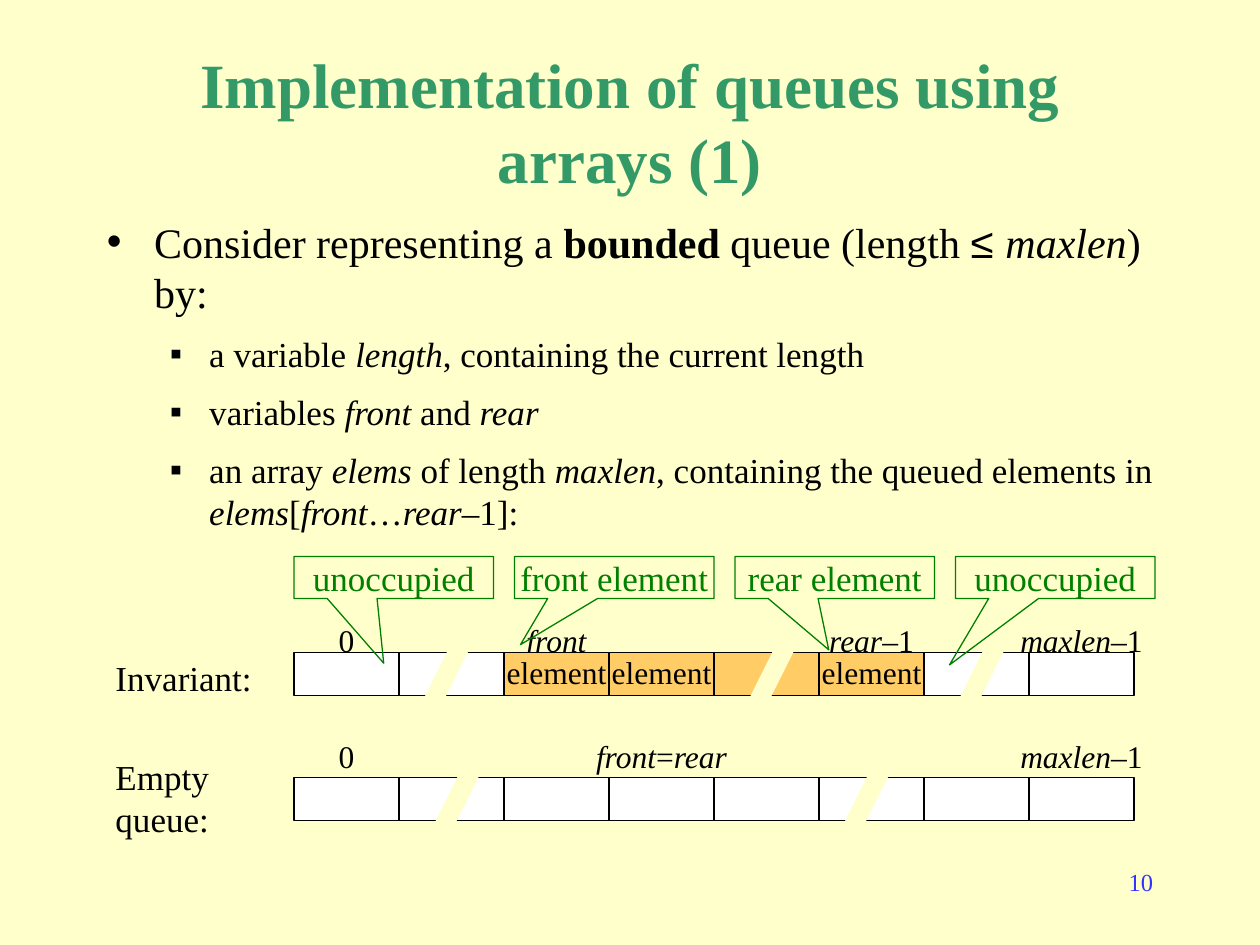
from pptx import Presentation
from pptx.dml.color import RGBColor
from pptx.enum.shapes import MSO_SHAPE
from pptx.enum.text import MSO_ANCHOR, PP_ALIGN
from pptx.oxml.ns import qn
from pptx.util import Pt
from lxml.etree import SubElement

CREAM = RGBColor(0xFF, 0xFF, 0xCC)
JADE = RGBColor(0x33, 0x99, 0x66)
GREEN = RGBColor(0x00, 0x80, 0x00)
BLUE = RGBColor(0x33, 0x33, 0xFF)
AMBER = RGBColor(0xFF, 0xCC, 0x66)
WHITE = RGBColor(0xFF, 0xFF, 0xFF)
BLACK = RGBColor(0x00, 0x00, 0x00)

LEFT, CELL_W, CELL_H, CELLS = 168, 60, 24.5, 8
CENTER = PP_ALIGN.CENTER


def write(para, text, size=18, color=BLACK, bold=False, font="Times New Roman"):
    """Add text to a paragraph; parts between slashes are italic."""
    for i, part in enumerate(text.split("/")):
        if part:
            run = para.add_run()
            run.text = part
            run.font.size = Pt(size)
            run.font.name = font
            run.font.bold = bold
            run.font.italic = i % 2 == 1
            run.font.color.rgb = color


class Deck:
    def __init__(self):
        self.prs = Presentation()
        self.prs.slide_width, self.prs.slide_height = Pt(720), Pt(540)
        self.slide = self.prs.slides.add_slide(self.prs.slide_layouts[6])
        self.slide.background.fill.solid()
        self.slide.background.fill.fore_color.rgb = CREAM
        self.shapes = self.slide.shapes

    def frame(self, shape, pad=(0, 0), anchor=MSO_ANCHOR.TOP):
        frame = shape.text_frame
        frame.word_wrap = True
        frame.vertical_anchor = anchor
        frame.margin_left = frame.margin_right = Pt(pad[0])
        frame.margin_top = frame.margin_bottom = Pt(pad[1])
        return frame

    def text(self, x, y, w, h, text="", align=PP_ALIGN.LEFT, pad=(0, 0),
             anchor=MSO_ANCHOR.TOP, **style):
        box = self.shapes.add_textbox(Pt(x), Pt(y), Pt(w), Pt(h))
        frame = self.frame(box, pad, anchor)
        para = frame.paragraphs[0]
        para.alignment = align
        write(para, text, **style)
        return frame

    def bullet(self, para, mark, left, hang):
        props = para._p.get_or_add_pPr()
        props.set("marL", str(Pt(left)))
        props.set("indent", str(-Pt(hang)))
        SubElement(props, qn("a:buFont")).set("typeface", "Arial")
        SubElement(props, qn("a:buChar")).set("char", mark)

    def shape(self, kind, x, y, w, h, text, fill, line, pad=(0, 0), **style):
        shape = self.shapes.add_shape(kind, Pt(x), Pt(y), Pt(w), Pt(h))
        shape.shadow.inherit = False
        if fill is None:
            shape.fill.background()
        else:
            shape.fill.solid()
            shape.fill.fore_color.rgb = fill
        shape.line.color.rgb = line
        shape.line.width = Pt(0.75)
        para = self.frame(shape, pad).paragraphs[0]
        para.alignment = CENTER
        write(para, text, color=line, **style)
        return shape

    def gap(self, x, y):
        """Slanted strip that breaks an array row."""
        pen = self.shapes.build_freeform(Pt(x), Pt(y + 36))
        pen.add_line_segments([(Pt(x + 18), Pt(y)), (Pt(x + 30), Pt(y)),
                               (Pt(x + 12), Pt(y + 36))], close=True)
        strip = pen.convert_to_shape()
        strip.shadow.inherit = False
        strip.fill.solid()
        strip.fill.fore_color.rgb = CREAM
        strip.line.fill.background()

    def row(self, y, used, gaps):
        """Array row; used maps a filled cell's index to its text."""
        for i in range(CELLS):
            self.shape(MSO_SHAPE.RECTANGLE, LEFT + i * CELL_W, y, CELL_W, CELL_H,
                       used.get(i, ""), AMBER if i in used else WHITE, BLACK)
        for x in gaps:
            self.gap(x, y - 5.5)

    def call(self, x, text, tip):
        box = self.shape(MSO_SHAPE.RECTANGULAR_CALLOUT, x, 318, 114, 24, text,
                         None, GREEN, pad=(3, 0), size=20)
        box.adjustments[0], box.adjustments[1] = tip


def main():
    deck = Deck()

    # Page number and title
    deck.text(516, 492, 150, 36, "10", PP_ALIGN.RIGHT, (7.2, 3.6),
              size=14, color=BLUE)
    deck.text(54, 42, 612, 54, "Implementation of queues using arrays (1)",
              CENTER, (7.2, 3.6), MSO_ANCHOR.MIDDLE,
              size=36, color=JADE, bold=True)

    # Bulleted text
    body = deck.text(54, 120, 612, 366, pad=(7.2, 3.6))
    para = body.paragraphs[0]
    deck.bullet(para, "•", 27, 27)
    write(para, "Consider representing a ", size=24)
    write(para, "bounded", size=24, bold=True)
    write(para, " queue (length ", size=24)
    write(para, "≤ ", size=24, font="Arial")
    write(para, "/maxlen/) by:", size=24)
    for item in ("a variable /length/, containing the current length",
                 "variables /front/ and /rear/",
                 "an array /elems/ of length /maxlen/, containing the queued "
                 "elements in /elems/[/front/…/rear/–1]:"):
        para = body.add_paragraph()
        para.space_before = Pt(9)
        deck.bullet(para, "▪", 58.5, 22.5)
        write(para, item, size=20)

    # Row names and index labels
    deck.text(66, 375, 84, 24, "Invariant:", size=20)
    deck.text(66, 432, 84, 48, "Empty queue:", size=20)
    for x, y, w, label in ((LEFT, 355, 60, "0"), (288, 355, 60, "/front/"),
                           (468, 355, 60, "/rear/–1"),
                           (582, 355, 72, "/maxlen/–1"),
                           (LEFT, 421, 60, "0"), (336, 421, 84, "/front/=/rear/"),
                           (582, 421, 72, "/maxlen/–1")):
        deck.text(x, y, w, 24, label, CENTER)

    # Array rows
    deck.row(373, {2: "element", 3: "element", 4: "", 5: "element"},
             (240, 426, 546))
    deck.row(444.5, {}, (246, 480))

    # Callouts
    notes = (("unoccupied", (-0.05, 2.04)), ("front element", (-0.47, 1.6)),
             ("rear element", (-0.03, 1.72)), ("unoccupied", (-0.53, 2.08)))
    for i, (text, tip) in enumerate(notes):
        deck.call(LEFT + i * 126, text, tip)

    deck.prs.save("out.pptx")


if __name__ == "__main__":
    main()
